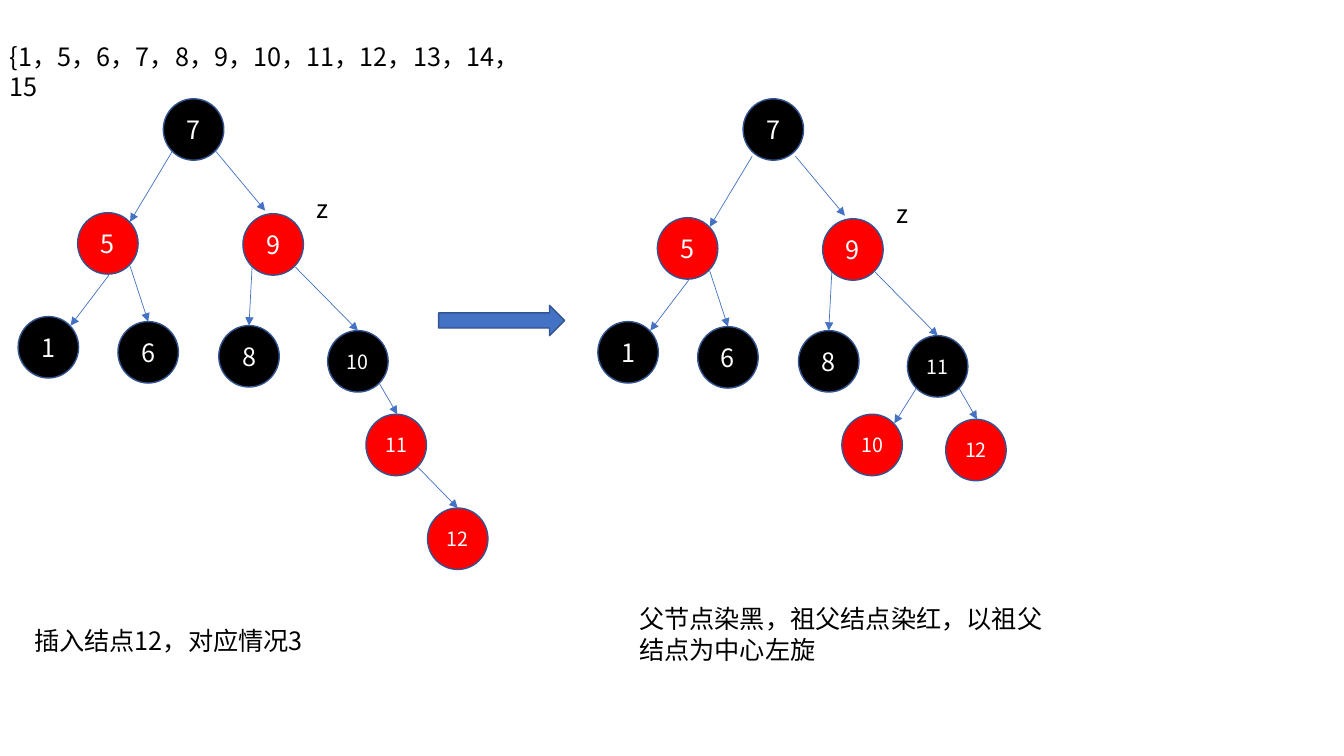
from dataclasses import dataclass
from lxml.etree import SubElement
from pptx import Presentation
from pptx.dml.color import RGBColor
from pptx.enum.shapes import MSO_CONNECTOR, MSO_SHAPE
from pptx.enum.text import MSO_ANCHOR, PP_ALIGN
from pptx.oxml.ns import qn
from pptx.util import Inches, Pt


@dataclass(frozen=True)
class Theme:
    font: str = "Noto Sans CJK SC"
    black: str = "000000"
    red: str = "FF0000"
    white: str = "FFFFFF"
    blue: str = "4472C4"
    rim: str = "325491"
    big: int = 18
    small: int = 14


class Board:
    def __init__(self, slide, theme):
        self.slide = slide
        self.theme = theme

    def style(self, item, values):
        for name, value in values.items():
            setattr(item, name, value)

    def label(self, frame, words, size, color):
        run = frame.paragraphs[0].add_run()
        run.text = words
        self.style(run.font, {"name": self.theme.font, "size": Pt(size)})
        run.font.color.rgb = RGBColor.from_string(color)
        SubElement(run.font._element, qn("a:ea"), typeface=self.theme.font)

    def text(self, words, *place):
        box = self.slide.shapes.add_textbox(*map(Inches, place))
        box.text_frame.word_wrap = True
        self.label(box.text_frame, words, self.theme.big, self.theme.black)

    def shape(self, kind, fill, *place):
        shape = self.slide.shapes.add_shape(kind, *map(Inches, place))
        shape.shadow.inherit = False
        shape.fill.solid()
        shape.fill.fore_color.rgb = RGBColor.from_string(fill)
        shape.line.color.rgb = RGBColor.from_string(self.theme.rim)
        shape.line.width = Pt(1)
        return shape

    def node(self, key, fill, left, top):
        kind = MSO_SHAPE.FLOWCHART_CONNECTOR
        frame = self.shape(kind, fill, left, top, 0.6, 0.61).text_frame
        self.style(frame, {"margin_left": 0, "margin_right": 0,
                           "vertical_anchor": MSO_ANCHOR.MIDDLE})
        frame.paragraphs[0].alignment = PP_ALIGN.CENTER
        size = self.theme.small if key > 9 else self.theme.big
        self.label(frame, str(key), size, self.theme.white)

    def edge(self, *ends):
        line = self.slide.shapes.add_connector(
            MSO_CONNECTOR.STRAIGHT, *map(Inches, ends))
        line.line.color.rgb = RGBColor.from_string(self.theme.blue)
        line.line.width = Pt(0.5)
        SubElement(line.line._get_or_add_ln(), qn("a:tailEnd"), type="triangle")
        SubElement(line._element.spPr, qn("a:effectLst"))

    def tree(self, keys, right, down):
        self.node(7, self.theme.black, 1.62 + right, 0.98)
        for key, (fill, left, top) in zip(keys, spots):
            self.node(key, fill, left + right, top + down)
        for x1, y1, x2, y2 in edges:
            self.edge(x1 + right, y1 + down, x2 + right, y2 + down)
        self.text("z", 3.04 + right, 1.87 + down, 0.4, 0.4)


theme = Theme()
spots = [
    (theme.red, 0.77, 2.11),
    (theme.red, 2.41, 2.12),
    (theme.black, 0.18, 3.14),
    (theme.black, 1.17, 3.19),
    (theme.black, 2.17, 3.23),
    (theme.black, 3.25, 3.28),
    (theme.red, 3.63, 4.11),
]
edges = [
    (1.71, 1.5, 1.29, 2.2),
    (2.14, 1.5, 2.63, 2.09),
    (1.08, 2.73, 0.7, 3.23),
    (1.29, 2.64, 1.47, 3.19),
    (2.5, 2.65, 2.47, 3.23),
    (2.93, 2.65, 3.55, 3.28),
    (3.76, 3.8, 3.94, 4.11),
]

deck = Presentation()
deck.slide_width = Inches(13.33)
deck.slide_height = Inches(7.5)
board = Board(deck.slides.add_slide(deck.slide_layouts[6]), theme)

board.text("{" + "，".join(map(str, [1, *range(5, 16)])), 0, 0.36, 5.45, 0.4)

board.tree([5, 9, 1, 6, 8, 10, 11], 0, 0)
board.node(12, theme.red, 4.24, 5.04)
board.edge(4.15, 4.64, 4.54, 5.04)
board.text("插入结点12，对应情况3", 0.24, 6.15, 4.47, 0.4)

board.shape(MSO_SHAPE.RIGHT_ARROW, theme.blue, 4.35, 3.03, 1.25, 0.3)

board.tree([5, 9, 1, 6, 8, 11, 12], 5.75, 0.05)
board.node(10, theme.red, 8.35, 4.11)
board.edge(9.09, 3.85, 8.87, 4.2)
board.text("父节点染黑，祖父结点染红，以祖父结点为中心左旋", 6.24, 5.94, 4.34, 0.71)

deck.save("out.pptx")
